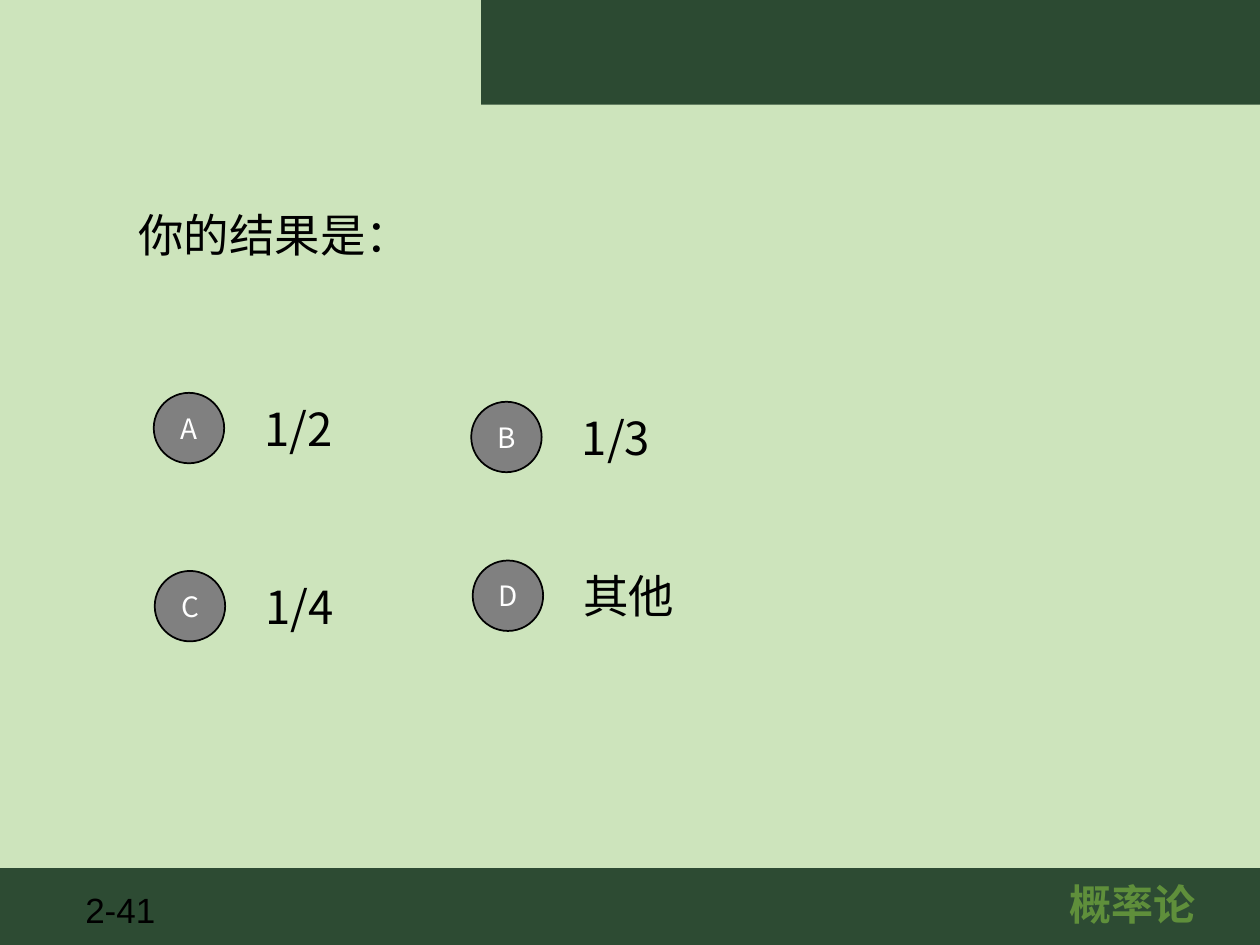
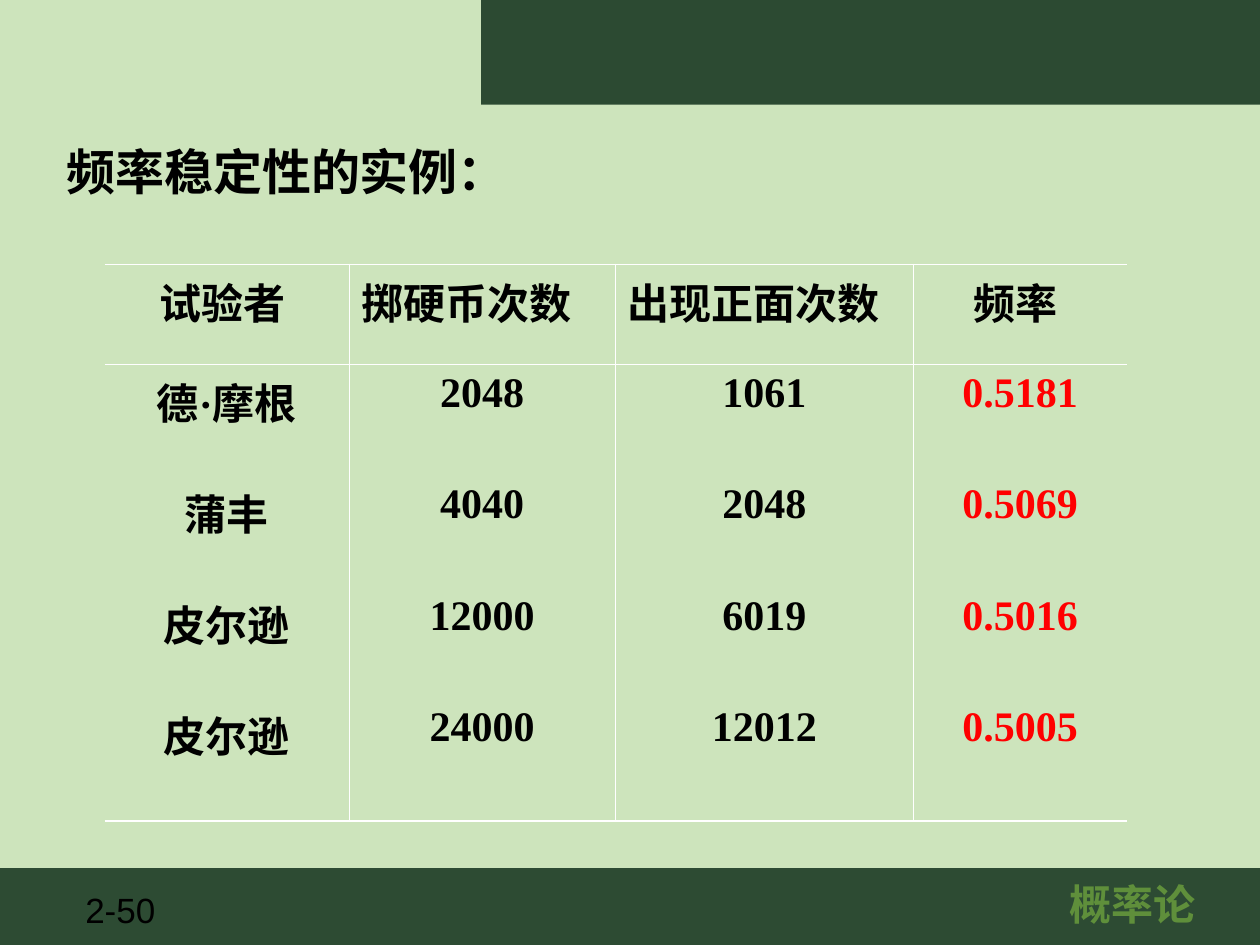
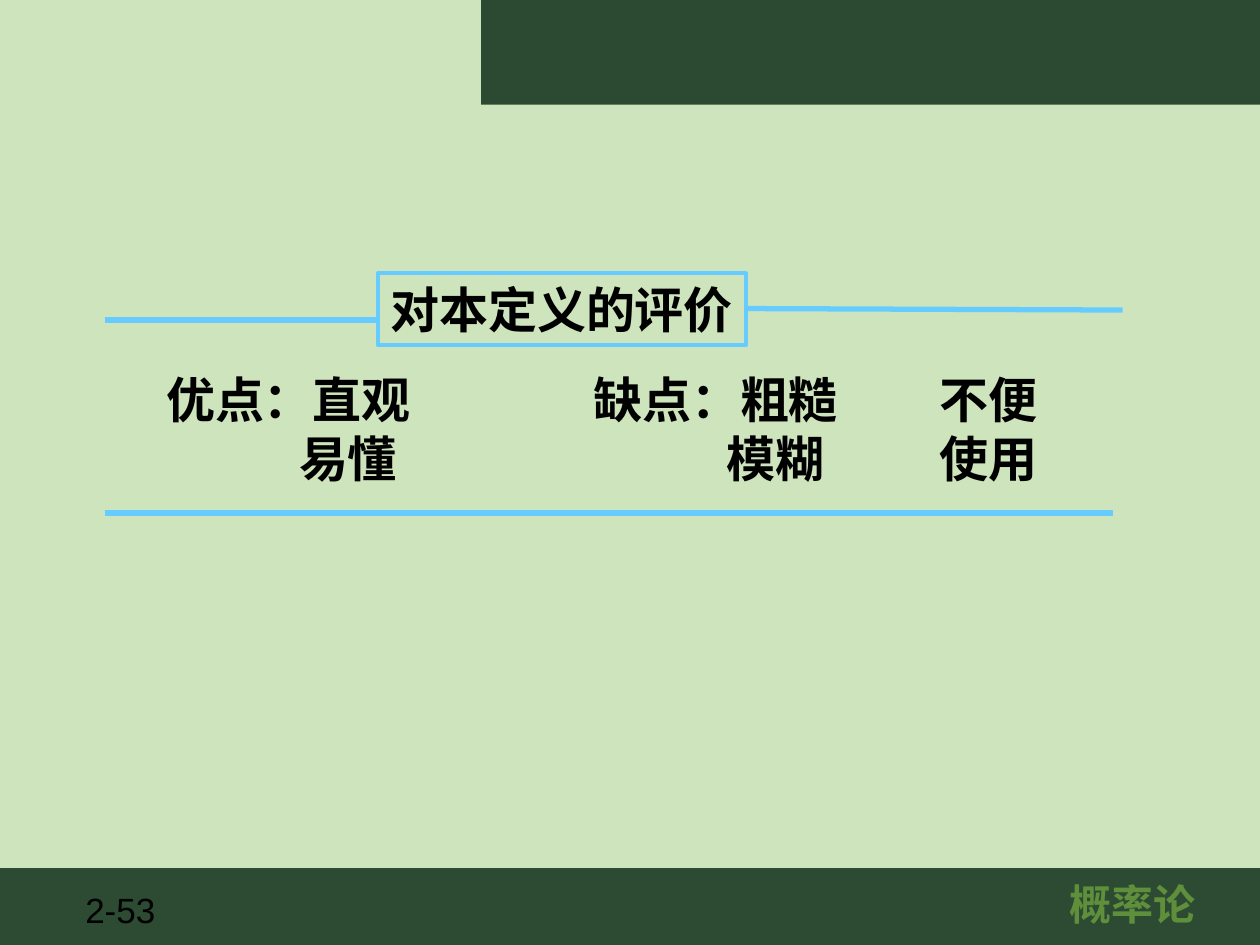
from pptx import Presentation
from pptx.dml.color import RGBColor
from pptx.enum.shapes import MSO_CONNECTOR, MSO_SHAPE
from pptx.enum.text import MSO_ANCHOR, PP_ALIGN
from pptx.oxml.ns import qn
from pptx.util import Cm, Pt
from lxml import etree

LEFT, CENTER = PP_ALIGN.LEFT, PP_ALIGN.CENTER
TOP, MIDDLE = MSO_ANCHOR.TOP, MSO_ANCHOR.MIDDLE
RECTANGLE, OVAL = MSO_SHAPE.RECTANGLE, MSO_SHAPE.OVAL
STRAIGHT = MSO_CONNECTOR.STRAIGHT

SANS, SERIF, CJK = "Arial", "Times New Roman", "Noto Sans CJK SC"
COLORS = {
    "background": "CDE4BC",
    "footer": "2D4B33",
    "header": "2C4A32",
    "course": "5F8F3B",
    "text": "000000",
    "button": "808080",
    "white": "FFFFFF",
    "result": "FF0000",
    "rule": "66CCFF",
}


def write(frame, text, size, font, color="text", bold=False, align=LEFT):
    frame.text = text
    for para in frame.paragraphs:
        para.alignment = align
        for span in para.runs:
            span.font.size = Pt(size)
            span.font.bold = bold
            span.font.name = font
            span.font.color.rgb = RGBColor.from_string(COLORS[color])
            etree.SubElement(span.font._element, qn("a:ea"), typeface=CJK)


def add_box(page, place, text, size, font, color="text", bold=False, align=LEFT, anchor=TOP):
    box = page.shapes.add_textbox(*[Cm(length) for length in place])
    box.text_frame.word_wrap = True
    box.text_frame.vertical_anchor = anchor
    write(box.text_frame, text, size, font, color, bold, align)
    return box


deck = Presentation()
deck.slide_width, deck.slide_height = Cm(25.4), Cm(19.05)
background = deck.slide_master.background.fill
background.solid()
background.fore_color.rgb = RGBColor.from_string(COLORS["background"])

bands = [("footer", (0, 17.5, 25.4, 1.55)), ("header", (9.7, 0, 15.7, 2.11))]
pages = []
for number in ("2-41", "2-50", "2-53"):
    page = deck.slides.add_slide(deck.slide_layouts[6])
    for color, place in bands:
        band = page.shapes.add_shape(RECTANGLE, *[Cm(length) for length in place])
        band.shadow.inherit = False
        band.fill.solid()
        band.fill.fore_color.rgb = RGBColor.from_string(COLORS[color])
        band.line.fill.background()
    add_box(page, (1.47, 17.78, 1.98, 1.09), number, 20, SANS)
    add_box(page, (18.9, 17.58, 7.85, 1.27), "概率论", 24, SANS, "course", True, CENTER)
    pages.append(page)
quiz_page, table_page, review_page = pages

add_box(quiz_page, (2.54, 1.75, 20.32, 5.94), "你的结果是：", 26, CJK, anchor=MIDDLE)
options = [
    ("A", "1/2", 3.1, 7.92),
    ("B", "1/3", 9.5, 8.1),
    ("C", "1/4", 3.12, 11.51),
    ("D", "其他", 9.53, 11.3),
]
for letter, answer, left, top in options:
    add_box(quiz_page, (left + 1.98, top - 0.18, 17.78, 1.78), answer, 26, CJK, anchor=MIDDLE)
    button = quiz_page.shapes.add_shape(OVAL, Cm(left), Cm(top), Cm(1.42), Cm(1.42))
    button.shadow.inherit = False
    button.fill.solid()
    button.fill.fore_color.rgb = RGBColor.from_string(COLORS["button"])
    button.line.color.rgb = RGBColor.from_string(COLORS["text"])
    button.line.width = Pt(1)
    button.text_frame.vertical_anchor = MIDDLE
    write(button.text_frame, letter, 16, CJK, "white", align=CENTER)

trials = [
    ("试验者 ", "掷硬币次数", "出现正面次数", "频率 "),
    ("德·摩根", "2048", "1061", "0.5181"),
    ("蒲丰", "4040", "2048", "0.5069"),
    ("皮尔逊", "12000", "6019", "0.5016"),
    ("皮尔逊", "24000", "12012", "0.5005"),
]
widths = [4.93, 5.36, 6.02, 4.29]
heights = [2.01, 2.24, 2.24, 2.24, 2.49]
table = table_page.shapes.add_table(
    len(heights), len(widths), Cm(2.11), Cm(5.33), Cm(sum(widths)), Cm(sum(heights))
).table
table.first_row = table.horz_banding = False
for column, width in zip(table.columns, widths):
    column.width = Cm(width)
last_row, last_column = len(heights) - 1, len(widths) - 1
for row, values in enumerate(trials):
    table.rows[row].height = Cm(heights[row])
    for column, value in enumerate(values):
        cell = table.cell(row, column)
        color = "result" if row > 0 and column == last_column else "text"
        align = LEFT if row == 0 and column in (1, 2) else CENTER
        write(cell.text_frame, value, 24, SERIF, color, True, align)
        borders = {
            "a:lnL": 0.45 if column > 0 else 0,
            "a:lnR": 0.45 if column < last_column else 0,
            "a:lnT": {0: 1.08, 1: 0.45}.get(row, 0),
            "a:lnB": {0: 0.45, last_row: 1.08}.get(row, 0),
        }
        properties = cell._tc.get_or_add_tcPr()
        for side, points in borders.items():
            border = etree.SubElement(properties, qn(side), w=str(Pt(points)))
            if points:
                paint = etree.SubElement(border, qn("a:solidFill"))
                etree.SubElement(paint, qn("a:srgbClr"), val=COLORS["white"])
            else:
                etree.SubElement(border, qn("a:noFill"))
        cell.fill.background()
add_box(table_page, (1.09, 2.72, 13.79, 1.45), "频率稳定性的实例：", 28, SANS, bold=True)

heading = add_box(review_page, (7.62, 5.51, 7.42, 1.45), "对本定义的评价", 28, SERIF, bold=True)
heading.text_frame.word_wrap = False
heading.line.color.rgb = RGBColor.from_string(COLORS["rule"])
heading.line.width = Pt(2.25)
rules = [(2.11, 6.45, 7.6, 6.45), (15.06, 6.22, 22.63, 6.25), (2.11, 10.34, 22.43, 10.34)]
for ends in rules:
    rule = review_page.shapes.add_connector(STRAIGHT, *[Cm(length) for length in ends])
    rule.line.color.rgb = RGBColor.from_string(COLORS["rule"])
    rule.line.width = Pt(3)
    etree.SubElement(rule._element.spPr, qn("a:effectLst"))
remarks = [
    (3.1, 8.61, "优点：直观\n易懂", 2.68),
    (11.71, 8.61, "缺点：粗糙\n模糊", 2.68),
    (18.69, 4.93, "不便\n使用", 0),
]
for left, width, text, indent in remarks:
    remark = add_box(review_page, (left, 7.32, width, 2.64), text, 28, SERIF, bold=True)
    second = remark.text_frame.paragraphs[1]
    second._p.get_or_add_pPr().set("marL", str(Cm(indent)))

deck.save("out.pptx")
